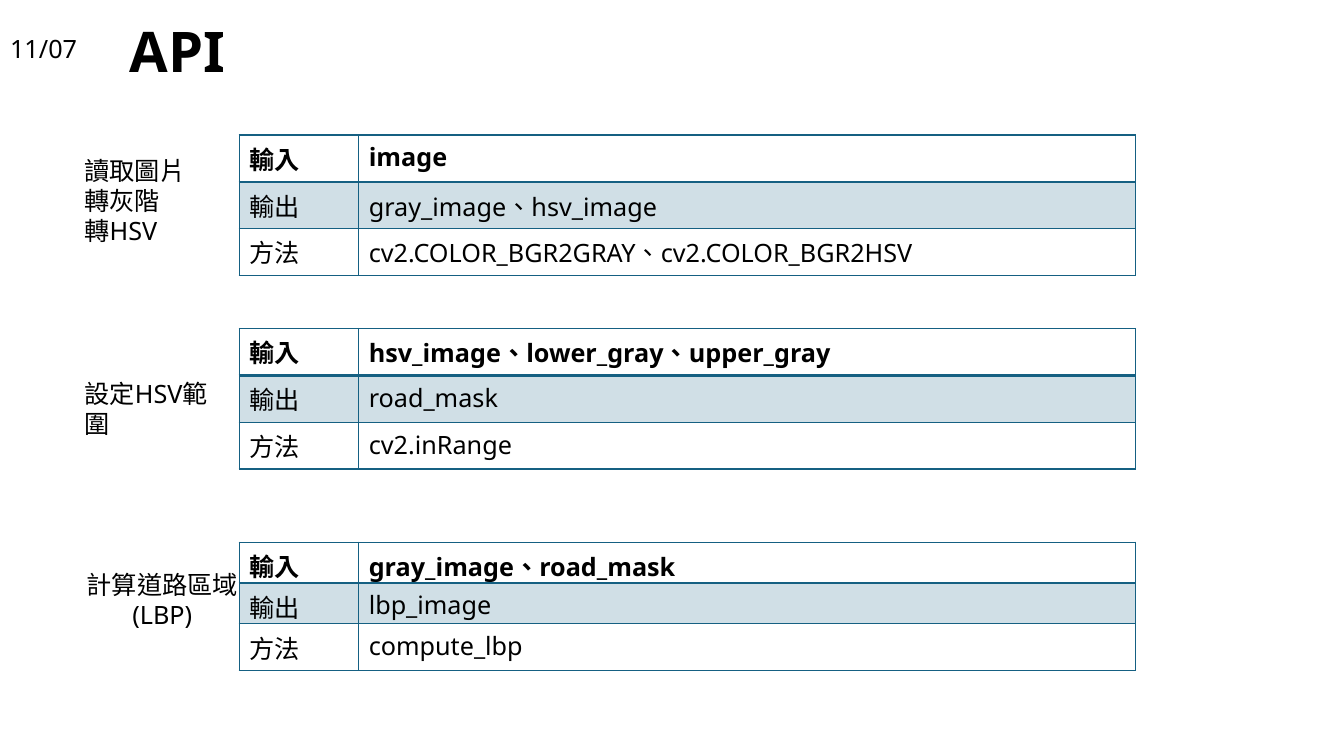
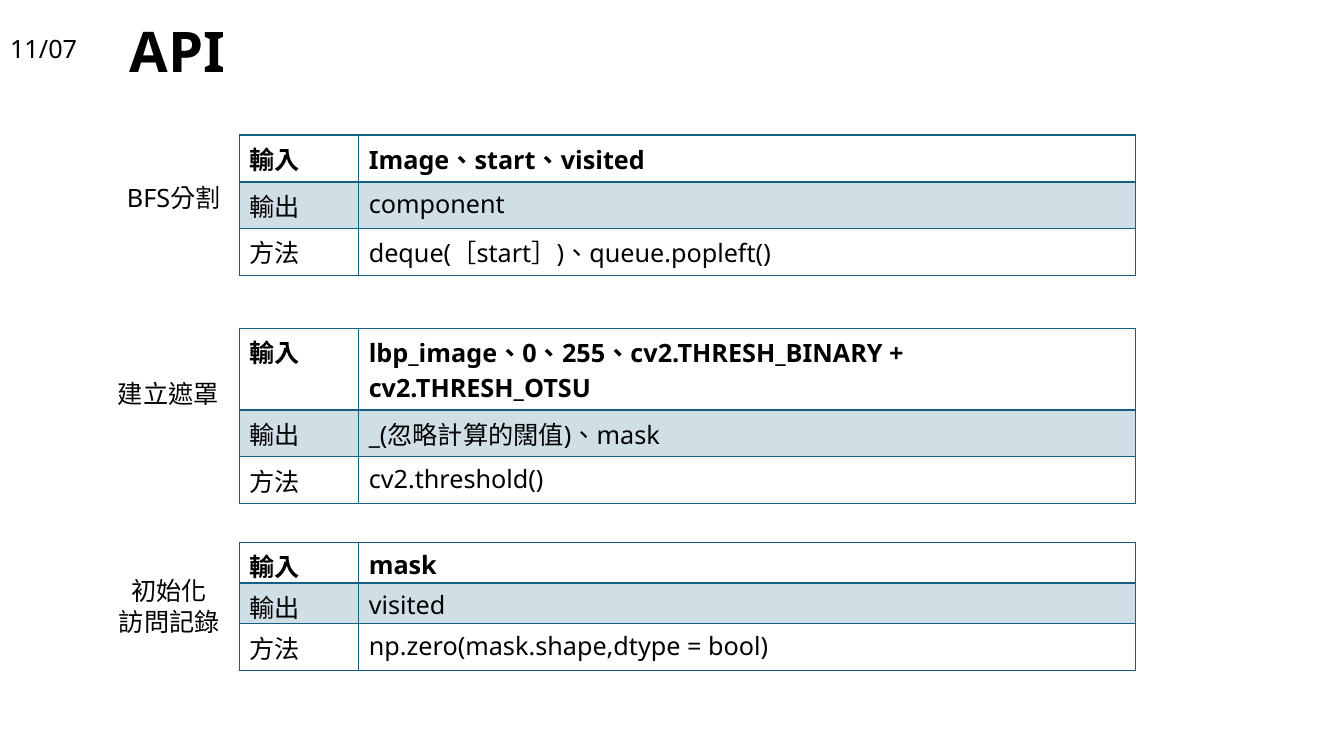
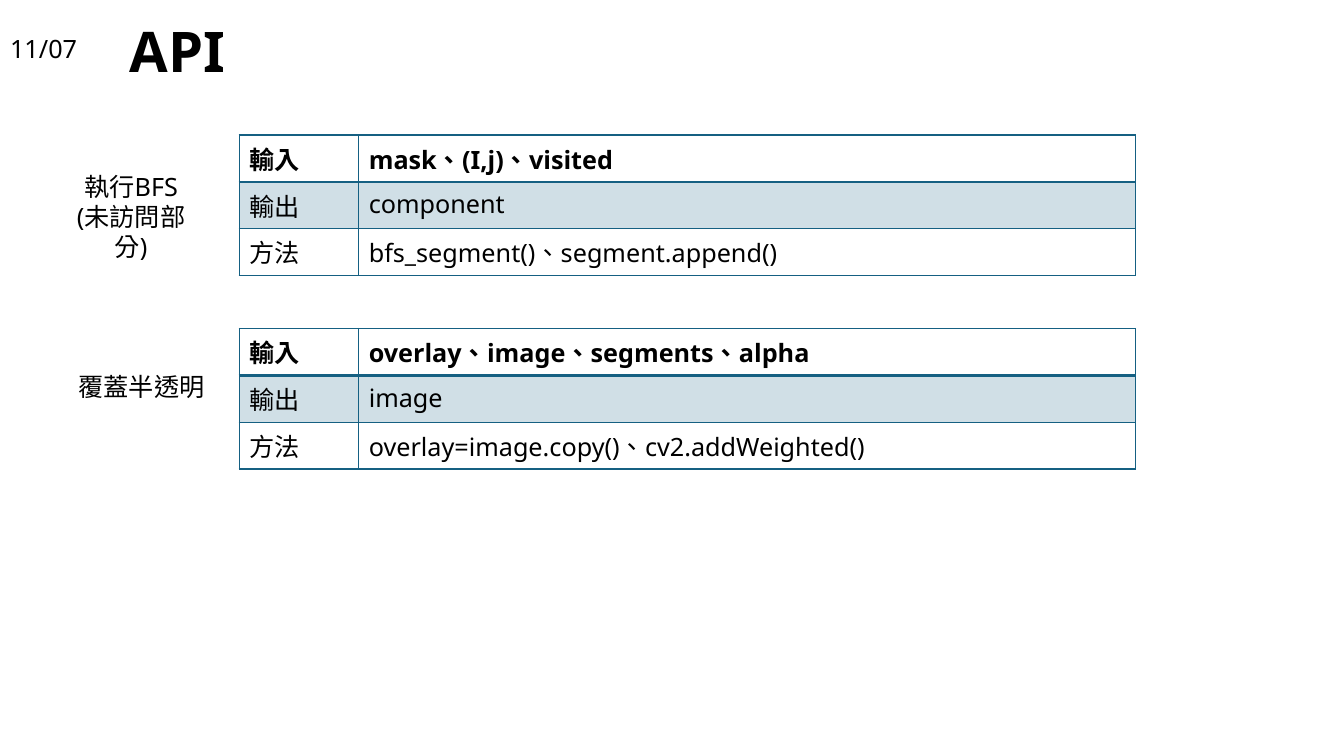
from lxml import etree
from pptx import Presentation
from pptx.dml.color import RGBColor
from pptx.enum.text import MSO_ANCHOR, MSO_AUTO_SIZE, PP_ALIGN
from pptx.oxml.ns import qn
from pptx.util import Cm, Pt

LEFT, CENTER = PP_ALIGN.LEFT, PP_ALIGN.CENTER
MIDDLE = MSO_ANCHOR.MIDDLE
GROW = MSO_AUTO_SIZE.SHAPE_TO_FIT_TEXT

# Shared style
BLACK = RGBColor(0x00, 0x00, 0x00)
TEAL = RGBColor(0x15, 0x60, 0x82)
FONT, LANGUAGE = "Noto Sans", "zh-TW"
BODY_SIZE, HEADING_SIZE = 18, 40
BAND_OPACITY = 20

# Shared grid, in centimetres
TABLE_LEFT = 6.03
TABLE_TOPS = (3.4, 8.28, 13.66)
COL_WIDTHS = (3.01, 19.58)
ROW_NAMES = ("輸入", "輸出", "方法")
NORMAL_ROW, TIGHT_ROW, TWO_LINE_ROW = 1.18, 1.03, 2.05
NORMAL = (NORMAL_ROW, NORMAL_ROW, NORMAL_ROW)
TIGHT = (TIGHT_ROW, TIGHT_ROW, NORMAL_ROW)
TALL_INPUT = (TWO_LINE_ROW, NORMAL_ROW, NORMAL_ROW)
LINE_HEIGHT, BOX_PADDING = 0.76, 0.25

# Each step: label lines, (left, top, width), alignment, row heights,
# (input, output, method)
SLIDES = [
    [
        (["讀取圖片", "轉灰階", "轉HSV"], (1.88, 3.78, 4.17), LEFT, NORMAL,
         ("image", "gray_image、hsv_image",
          "cv2.COLOR_BGR2GRAY、cv2.COLOR_BGR2HSV")),
        (["設定HSV範圍"], (1.88, 9.4, 4.17), LEFT, NORMAL,
         ("hsv_image、lower_gray、upper_gray", "road_mask", "cv2.inRange")),
        (["計算道路區域", "(LBP)"], (1.88, 14.22, 4.42), CENTER, TIGHT,
         ("gray_image、road_mask", "lbp_image", "compute_lbp")),
    ],
    [
        (["BFS分割"], (2.95, 4.47, 2.95), LEFT, NORMAL,
         ("Image、start、visited", "component",
          "deque(［start］)、queue.popleft()")),
        (["建立遮罩"], (2.72, 9.4, 3.25), LEFT, TALL_INPUT,
         ("lbp_image、0、255、cv2.THRESH_BINARY + cv2.THRESH_OTSU",
          "_(忽略計算的闊值)、mask", "cv2.threshold()")),
        (["初始化", "訪問記錄"], (2.64, 14.38, 3.25), CENTER, TIGHT,
         ("mask", "visited", "np.zero(mask.shape,dtype = bool)")),
    ],
    [
        (["執行BFS", "(未訪問部分)"], (1.35, 4.19, 3.91), CENTER, NORMAL,
         ("mask、(I,j)、visited", "component",
          "bfs_segment()、segment.append()")),
        (["覆蓋半透明"], (1.73, 9.22, 3.91), LEFT, NORMAL,
         ("overlay、image、segments、alpha", "image",
          "overlay=image.copy()、cv2.addWeighted()")),
    ],
]


def style_text(tf, size=BODY_SIZE, bold=False, align=LEFT):
    """Format every run of a text frame."""
    for p in tf.paragraphs:
        p.alignment = align
        for r in p.runs:
            r.font.name = FONT
            r.font.size = Pt(size)
            r.font.bold = bold
            r.font.color.rgb = BLACK
            # Traditional Chinese glyph forms
            r._r.get_or_add_rPr().set("lang", LANGUAGE)


def set_title(slide, text):
    sp = slide.shapes.title
    sp.left, sp.top, sp.width, sp.height = Cm(0), Cm(0.66), Cm(29.21), Cm(1.22)
    tf = sp.text_frame
    tf.text = text
    tf.vertical_anchor = MIDDLE
    tf.paragraphs[0].line_spacing = 0.9
    style_text(tf)


def add_text(slide, lines, box, height, **style):
    left, top, width = box
    sp = slide.shapes.add_textbox(Cm(left), Cm(top), Cm(width), Cm(height))
    tf = sp.text_frame
    tf.word_wrap = True
    tf.auto_size = GROW
    tf.text = "\n".join(lines)
    style_text(tf, **style)


def add_border(cell, side, width):
    tc_pr = cell._tc.get_or_add_tcPr()
    ln = etree.SubElement(tc_pr, qn("a:ln" + side), w=str(Pt(width)))
    fill = etree.SubElement(ln, qn("a:solidFill"))
    etree.SubElement(fill, qn("a:srgbClr"), val=str(TEAL))


def fill_band(cell):
    """Tint a cell with the translucent accent colour."""
    cell.fill.solid()
    cell.fill.fore_color.rgb = TEAL
    color = cell._tc.tcPr.find(qn("a:solidFill")).find(qn("a:srgbClr"))
    etree.SubElement(color, qn("a:alpha"), val=str(BAND_OPACITY * 1000))


def style_cell(cell, row):
    style_text(cell.text_frame, bold=row == 0)
    for side in "LRTB":
        under_header = (row, side) in ((0, "B"), (1, "T"))
        add_border(cell, side, 2 if under_header else 1)
    if row == 1:
        fill_band(cell)
    else:
        cell.fill.background()


def add_api_table(slide, top, values, row_heights):
    frame = slide.shapes.add_table(
        len(ROW_NAMES), len(COL_WIDTHS), Cm(TABLE_LEFT), Cm(top),
        Cm(sum(COL_WIDTHS)), Cm(sum(row_heights)))
    table = frame.table
    table.first_row = table.horz_banding = False
    for column, width in zip(table.columns, COL_WIDTHS):
        column.width = Cm(width)
    for row, texts in enumerate(zip(ROW_NAMES, values)):
        table.rows[row].height = Cm(row_heights[row])
        for col, text in enumerate(texts):
            cell = table.cell(row, col)
            cell.text = text
            if row_heights[row] == TIGHT_ROW:
                cell.margin_bottom = Cm(0)
            style_cell(cell, row)


def main():
    prs = Presentation()
    prs.slide_width, prs.slide_height = Cm(33.87), Cm(19.05)
    title_only = prs.slide_layouts[5]
    for steps in SLIDES:
        slide = prs.slides.add_slide(title_only)
        set_title(slide, "11/07")
        add_text(slide, ["API"], (3.02, 0.3, 3.25), 1.96,
                 size=HEADING_SIZE, bold=True)
        for top, step in zip(TABLE_TOPS, steps):
            lines, box, align, row_heights, values = step
            add_api_table(slide, top, values, row_heights)
            height = len(lines) * LINE_HEIGHT + BOX_PADDING
            add_text(slide, lines, box, height, align=align)
    prs.save("out.pptx")


if __name__ == "__main__":
    main()
